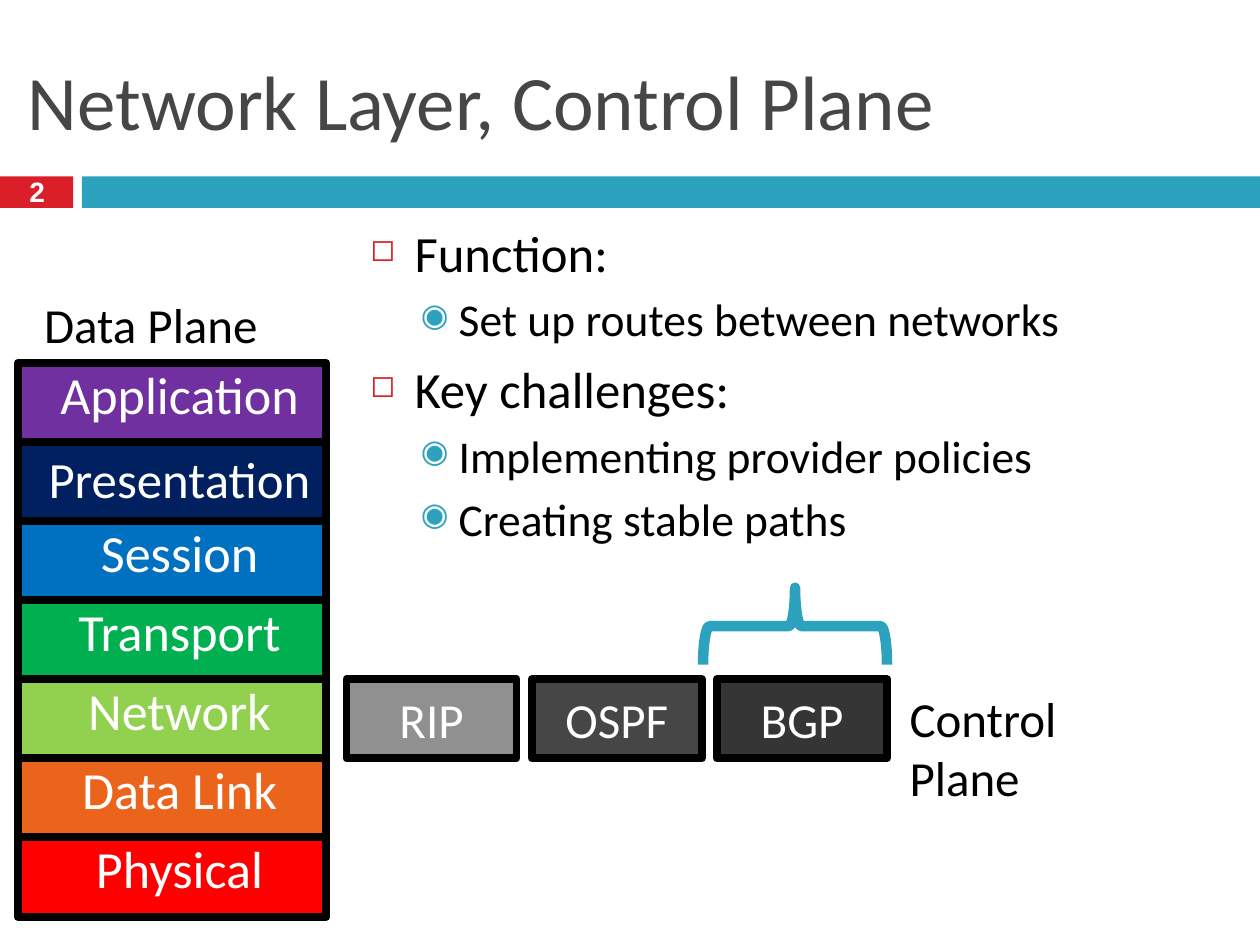
from lxml import etree
from pptx import Presentation
from pptx.dml.color import RGBColor
from pptx.enum.shapes import MSO_SHAPE
from pptx.enum.text import MSO_ANCHOR, PP_ALIGN
from pptx.oxml.ns import qn
from pptx.util import Pt

RECT, BRACE = MSO_SHAPE.RECTANGLE, MSO_SHAPE.LEFT_BRACE
TOP, MIDDLE = MSO_ANCHOR.TOP, MSO_ANCHOR.MIDDLE
LEFT, CENTER = PP_ALIGN.LEFT, PP_ALIGN.CENTER

THEME = {
    "font": "Calibri", "num_font": "Arial",
    "red": "DA1F28", "teal": "2DA2BF", "gray": "464646",
    "black": "000000", "white": "FFFFFF",
    "title": 44, "num": 16, "label": 28, "layer": 29.8, "tight": 29,
    "border": 4.5, "brace": 6,
}

TITLE = "Network Layer, Control Plane"
NUMBER = "2"
BARS = [(0, 41.76, "red"), (46.8, 673.2, "teal")]
POINTS = [
    (0, "Function:"),
    (1, "Set up routes between networks"),
    (0, "Key challenges:"),
    (1, "Implementing provider policies"),
    (1, "Creating stable paths"),
]
LEVELS = [
    {"size": 29, "left": 25.2, "hang": 25.2, "before": 7,
     "mark": "◻", "color": "red", "scale": 60},
    {"size": 26, "left": 50.4, "hang": 21.6, "before": 5,
     "mark": "◉", "color": "teal", "scale": 70},
]
LAYERS = [
    ("Application", "7030A0", "layer", 0.9),
    ("Presentation", "002060", "tight", 1.0),
    ("Session", "0070C0", "layer", 0.9),
    ("Transport", "00B050", "layer", 0.9),
    ("Network", "92D050", "layer", 0.9),
    ("Data Link", "EB641B", "layer", 0.9),
    ("Physical", "FF0000", "layer", 0.9),
]
CHIPS = [("RIP", "909090"), ("OSPF", "464646"), ("BGP", "353535")]
LABELS = [("Data Plane", 21.6, 164.9, 133.2), ("Control Plane", 516.2, 390.2, 150)]


def tint(name):
    return RGBColor.from_string(THEME.get(name, name))


def assign(item, **values):
    for key, value in values.items():
        setattr(item, key, value)


def frame(shape, anchor=TOP, wrap=True):
    body = shape.text_frame
    assign(body, word_wrap=wrap, vertical_anchor=anchor,
           margin_left=Pt(3.6), margin_right=Pt(3.6),
           margin_top=Pt(3.6), margin_bottom=Pt(3.6))
    return body


def write(para, text, size, color, font="font", bold=False):
    run = para.add_run()
    run.text = text
    assign(run.font, size=Pt(size), name=THEME[font], bold=bold)
    run.font.color.rgb = tint(color)


def draw(slide, kind, box, fill=None, line=None, width=0):
    shape = slide.shapes.add_shape(kind, *map(Pt, box))
    shape.shadow.inherit = False
    if fill:
        shape.fill.solid()
        shape.fill.fore_color.rgb = tint(fill)
    else:
        shape.fill.background()
    if line:
        shape.line.color.rgb = tint(line)
        shape.line.width = Pt(width)
    else:
        shape.line.fill.background()
    return shape


def label(slide, box, text, size, color, anchor=TOP, wrap=True):
    body = frame(slide.shapes.add_textbox(*map(Pt, box)), anchor, wrap)
    para = body.paragraphs[0]
    write(para, text, size, color)
    return para


def bullet(para, level):
    props = para._p.get_or_add_pPr()
    props.set("marL", str(Pt(level["left"])))
    props.set("indent", str(-Pt(level["hang"])))
    color = etree.SubElement(props, qn("a:buClr"))
    etree.SubElement(color, qn("a:srgbClr"), val=THEME[level["color"]])
    etree.SubElement(props, qn("a:buSzPct"), val=str(level["scale"] * 1000))
    etree.SubElement(props, qn("a:buChar"), char=level["mark"])


def header(slide):
    for left, width, color in BARS:
        draw(slide, RECT, (left, 100.8, width, 18), color)
    label(slide, (12.24, 18, 696.24, 77.76), TITLE, THEME["title"], "gray", MIDDLE)
    box = slide.shapes.add_textbox(Pt(12.96), Pt(98.64), Pt(16.56), Pt(25.2))
    para = frame(box, MIDDLE, False).paragraphs[0]
    assign(para, alignment=CENTER, line_spacing=0.8)
    write(para, NUMBER, THEME["num"], "white", "num_font", True)


def outline(slide):
    box = slide.shapes.add_textbox(Pt(208.08), Pt(123.12), Pt(500.4), Pt(213.12))
    body = frame(box)
    for i, (depth, text) in enumerate(POINTS):
        level = LEVELS[depth]
        para = body.add_paragraph() if i else body.paragraphs[0]
        assign(para, alignment=LEFT, space_before=Pt(level["before"] if i else 0))
        bullet(para, level)
        write(para, text, level["size"], "black")


def stack(slide):
    for i, (text, color, size, space) in enumerate(LAYERS):
        box = (10.08, 207.36 + 45.15 * i, 176.4, 45.8)
        shape = draw(slide, RECT, box, color, "black", THEME["border"])
        para = frame(shape).paragraphs[0]
        assign(para, alignment=CENTER, line_spacing=space)
        para._p.get_or_add_pPr().set("indent", str(Pt(8.64)))
        write(para, text, THEME[size], "white")


def control(slide):
    brace = draw(slide, BRACE, (432.3, 305.3, 44, 105.1), None, "teal", THEME["brace"])
    brace.rotation = 90
    for i, (text, color) in enumerate(CHIPS):
        box = (198 + 105.84 * i, 388.08, 97.2, 45.36)
        shape = draw(slide, RECT, box, color, "black", THEME["border"])
        para = frame(shape, MIDDLE).paragraphs[0]
        para.alignment = CENTER
        write(para, text, THEME["label"], "white")


def main():
    deck = Presentation()
    assign(deck, slide_width=Pt(720), slide_height=Pt(540))
    slide = deck.slides.add_slide(deck.slide_layouts[6])
    header(slide)
    outline(slide)
    stack(slide)
    control(slide)
    for text, left, top, width in LABELS:
        label(slide, (left, top, width, 38.16), text, THEME["label"], "black")
    deck.save("out.pptx")


if __name__ == "__main__":
    main()
